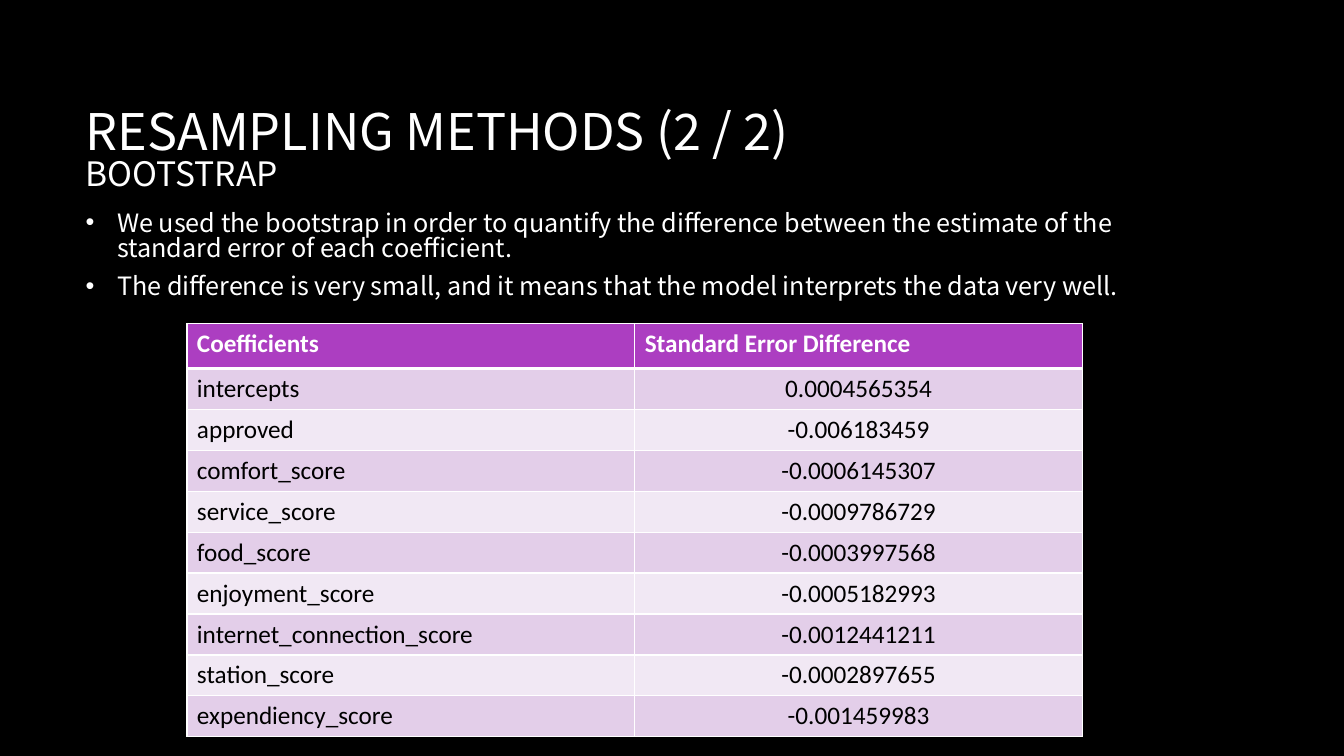
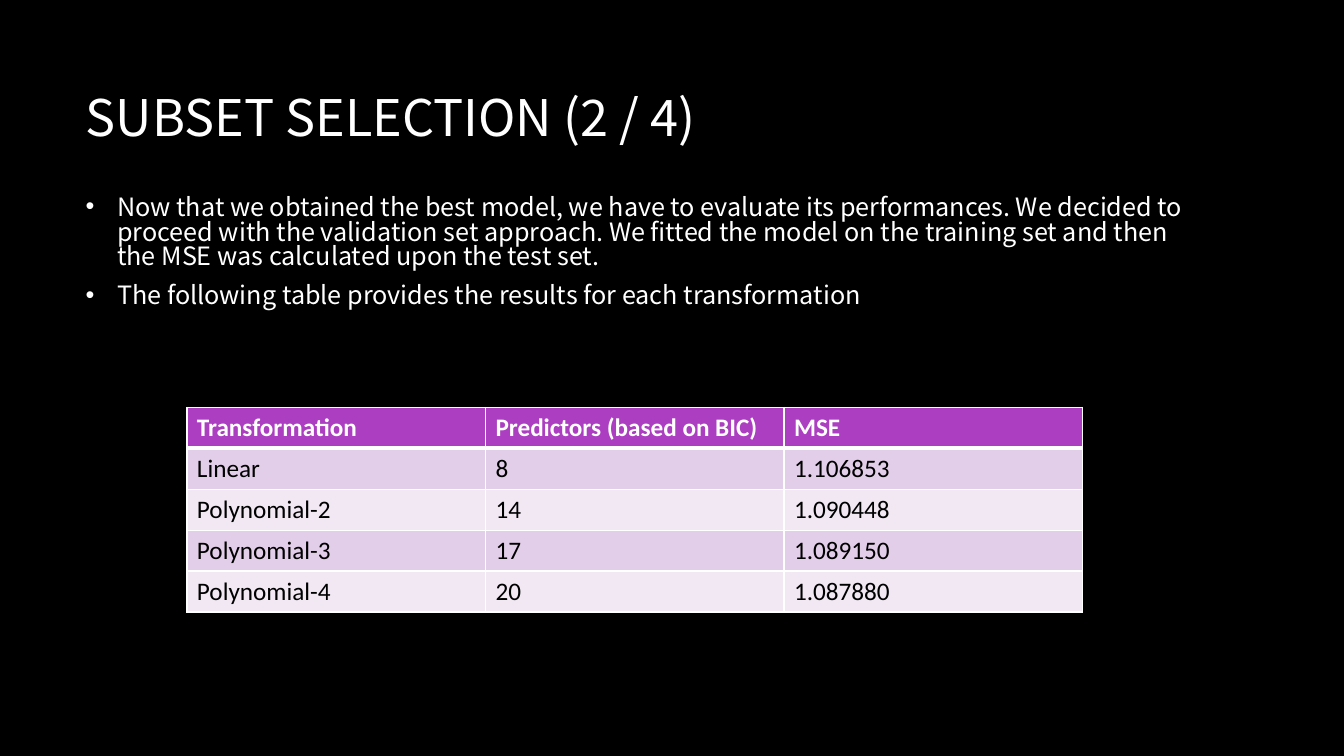
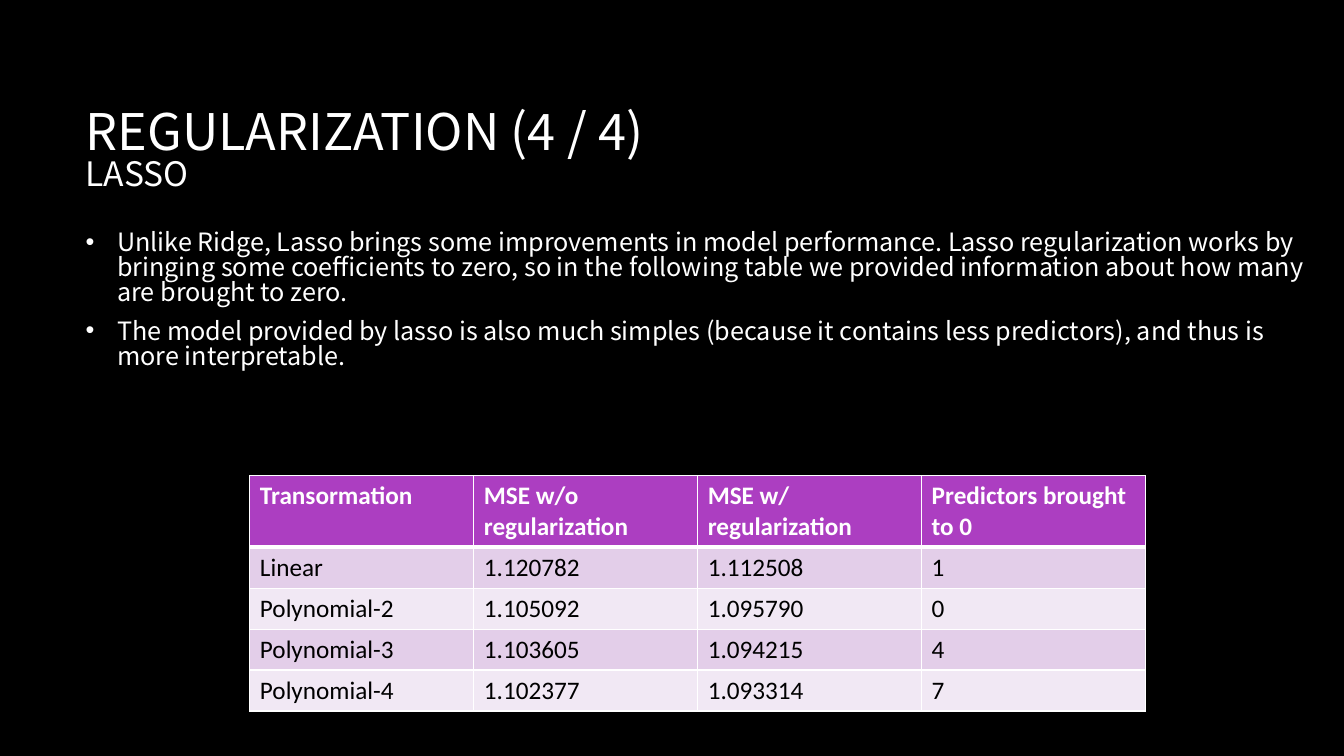
from collections import namedtuple

from lxml.etree import SubElement
from pptx import Presentation
from pptx.dml.color import RGBColor
from pptx.enum.text import MSO_ANCHOR as Anchor, MSO_AUTO_SIZE as AutoSize, PP_ALIGN as Align
from pptx.oxml.ns import qn
from pptx.util import Emu, Pt

BLACK = RGBColor(0x00, 0x00, 0x00)
WHITE = RGBColor(0xFF, 0xFF, 0xFF)
PURPLE = RGBColor(0xAC, 0x3E, 0xC1)
LILAC = RGBColor(0xE3, 0xCE, 0xE9)
PALE_LILAC = RGBColor(0xF1, 0xE8, 0xF4)

TEXT_FONT = "Noto Sans CJK JP"
TABLE_FONT = "Calibri"
LINE_SPACING = 0.82
ROW_HEIGHT = 39
TITLE_LINE = 57
INSET = 5

Box = namedtuple("Box", "left top width height")
TITLE_BOX = Box(72, 64, 1187, 153)


def px(length):
    """Turn pixels at 96 to the inch into EMU."""
    return Emu(length * 9525)


def place(shape, box):
    """Move and size a shape to a box in pixels."""
    shape.left, shape.top, shape.width, shape.height = map(px, box)


def set_font(paragraph, name, size, color, bold=False):
    """Format all the text of a paragraph."""
    font = paragraph.font
    font.name, font.size, font.bold = name, Pt(size), bold
    font.color.rgb = color


def prepare_frame(shape, box, anchor, top, bottom=INSET):
    """Place a placeholder and return its text frame."""
    place(shape, box)
    frame = shape.text_frame
    frame.word_wrap = True
    frame.auto_size = AutoSize.NONE
    frame.vertical_anchor = anchor
    frame.margin_top, frame.margin_bottom = px(top), px(bottom)
    return frame


def add_title(slide, box, title, subtitle):
    """Write the title and, on a second line, the subtitle."""
    bottom = INSET if subtitle else INSET + TITLE_LINE
    frame = prepare_frame(slide.shapes.title, box, Anchor.MIDDLE, 13, bottom)
    paragraph = frame.paragraphs[0]
    paragraph.alignment = Align.LEFT
    paragraph.line_spacing = LINE_SPACING
    set_font(paragraph, TEXT_FONT, 36, WHITE)
    paragraph.add_run().text = title
    if subtitle:
        paragraph.add_line_break()
        run = paragraph.add_run()
        run.text = subtitle
        run.font.size = Pt(24)


def add_bullets(slide, box, bullets, anchor=Anchor.MIDDLE):
    """Fill the body placeholder with a bulleted list."""
    top = 4 if anchor == Anchor.TOP else 10
    frame = prepare_frame(slide.placeholders[1], box, anchor, top)
    frame.text = "\n".join(bullets)
    for paragraph in frame.paragraphs:
        paragraph.line_spacing = LINE_SPACING
        paragraph.space_before, paragraph.space_after = Pt(0), Pt(10)
        set_font(paragraph, TEXT_FONT, 18, WHITE)
        properties = paragraph._p.get_or_add_pPr()
        properties.set("marL", str(px(30)))
        properties.set("indent", str(px(-30)))


def set_borders(cell, top, bottom):
    """Draw white cell borders, given the top and bottom widths in points."""
    properties = cell._tc.get_or_add_tcPr()
    widths = {"a:lnL": 1, "a:lnR": 1, "a:lnT": top, "a:lnB": bottom}
    for position, (tag, width) in enumerate(widths.items()):
        line = SubElement(properties, qn(tag), w=str(Pt(width)))
        fill = SubElement(line, qn("a:solidFill"))
        SubElement(fill, qn("a:srgbClr"), val=str(WHITE))
        properties.insert(position, line)


def add_banded_table(slide, box, rows, value_align=Align.LEFT):
    """Add a table with a purple header and lilac bands."""
    table = slide.shapes.add_table(len(rows), len(rows[0]), *map(px, box)).table
    for column in table.columns:
        column.width = px(box.width) // len(rows[0])
    header_height = box.height - ROW_HEIGHT * (len(rows) - 1)
    for row_index, texts in enumerate(rows):
        header = row_index == 0
        table.rows[row_index].height = px(header_height if header else ROW_HEIGHT)
        band = LILAC if row_index % 2 else PALE_LILAC
        for column_index, text in enumerate(texts):
            cell = table.cell(row_index, column_index)
            cell.fill.solid()
            cell.fill.fore_color.rgb = PURPLE if header else band
            set_borders(cell, 3 if row_index == 1 else 1, 3 if header else 1)
            cell.text = text
            paragraph = cell.text_frame.paragraphs[0]
            set_font(paragraph, TABLE_FONT, 18, WHITE if header else BLACK, header)
            if column_index and not header:
                paragraph.alignment = value_align


def add_content_slide(presentation, title, subtitle=None):
    """Add a slide with the shared title."""
    slide = presentation.slides.add_slide(presentation.slide_layouts[1])
    add_title(slide, TITLE_BOX, title, subtitle)
    return slide


def add_bootstrap_slide(presentation):
    """Build the bootstrap slide."""
    slide = add_content_slide(presentation, "RESAMPLING METHODS (2 / 2)", "BOOTSTRAP")
    add_bullets(slide, Box(72, 182, 1064, 120), [
        "We used the bootstrap in order to quantify the difference between the estimate "
        "of the standard error of each coefficient.",
        "The difference is very small, and it means that the model interprets the data "
        "very well.",
    ])
    add_banded_table(slide, Box(178, 308, 853, 394), [
        ("Coefficients", "Standard Error Difference"),
        ("intercepts", "0.0004565354"),
        ("approved", "-0.006183459"),
        ("comfort_score", "-0.0006145307"),
        ("service_score", "-0.0009786729"),
        ("food_score", "-0.0003997568"),
        ("enjoyment_score", "-0.0005182993"),
        ("internet_connection_score", "-0.0012441211"),
        ("station_score", "-0.0002897655"),
        ("expendiency_score", "-0.001459983"),
    ], Align.CENTER)


def add_subset_slide(presentation):
    """Build the subset selection slide."""
    slide = add_content_slide(presentation, "SUBSET SELECTION (2 / 4)")
    add_bullets(slide, Box(72, 162, 1064, 153), [
        "Now that we obtained the best model, we have to evaluate its performances. "
        "We decided to proceed with the validation set approach. We fitted the model on "
        "the training set and then the MSE was calculated upon the test set.",
        "The following table provides the results for each transformation",
    ])
    add_banded_table(slide, Box(178, 388, 853, 195), [
        ("Transformation", "Predictors (based on BIC)", "MSE"),
        ("Linear", "8", "1.106853"),
        ("Polynomial-2", "14", "1.090448"),
        ("Polynomial-3", "17", "1.089150"),
        ("Polynomial-4", "20", "1.087880"),
    ])


def add_lasso_slide(presentation):
    """Build the lasso slide."""
    slide = add_content_slide(presentation, "REGULARIZATION (4 / 4)", "LASSO")
    add_bullets(slide, Box(72, 217, 1187, 247), [
        "Unlike Ridge, Lasso brings some improvements in model performance. Lasso "
        "regularization works by bringing some coefficients to zero, so in the following "
        "table we provided information about how many are brought to zero.",
        "The model provided by lasso is also much simples (because it contains less "
        "predictors), and thus is more interpretable.",
    ], Anchor.TOP)
    add_banded_table(slide, Box(238, 453, 853, 224), [
        ("Transormation", "MSE w/o regularization", "MSE w/ regularization",
         "Predictors brought to 0"),
        ("Linear", "1.120782", "1.112508", "1"),
        ("Polynomial-2", "1.105092", "1.095790", "0"),
        ("Polynomial-3", "1.103605", "1.094215", "4"),
        ("Polynomial-4", "1.102377", "1.093314", "7"),
    ])


def main():
    """Build and save the presentation."""
    presentation = Presentation()
    presentation.slide_width, presentation.slide_height = px(1280), px(720)
    background = presentation.slide_master.background.fill
    background.solid()
    background.fore_color.rgb = BLACK
    add_bootstrap_slide(presentation)
    add_subset_slide(presentation)
    add_lasso_slide(presentation)
    presentation.save("out.pptx")


if __name__ == "__main__":
    main()
